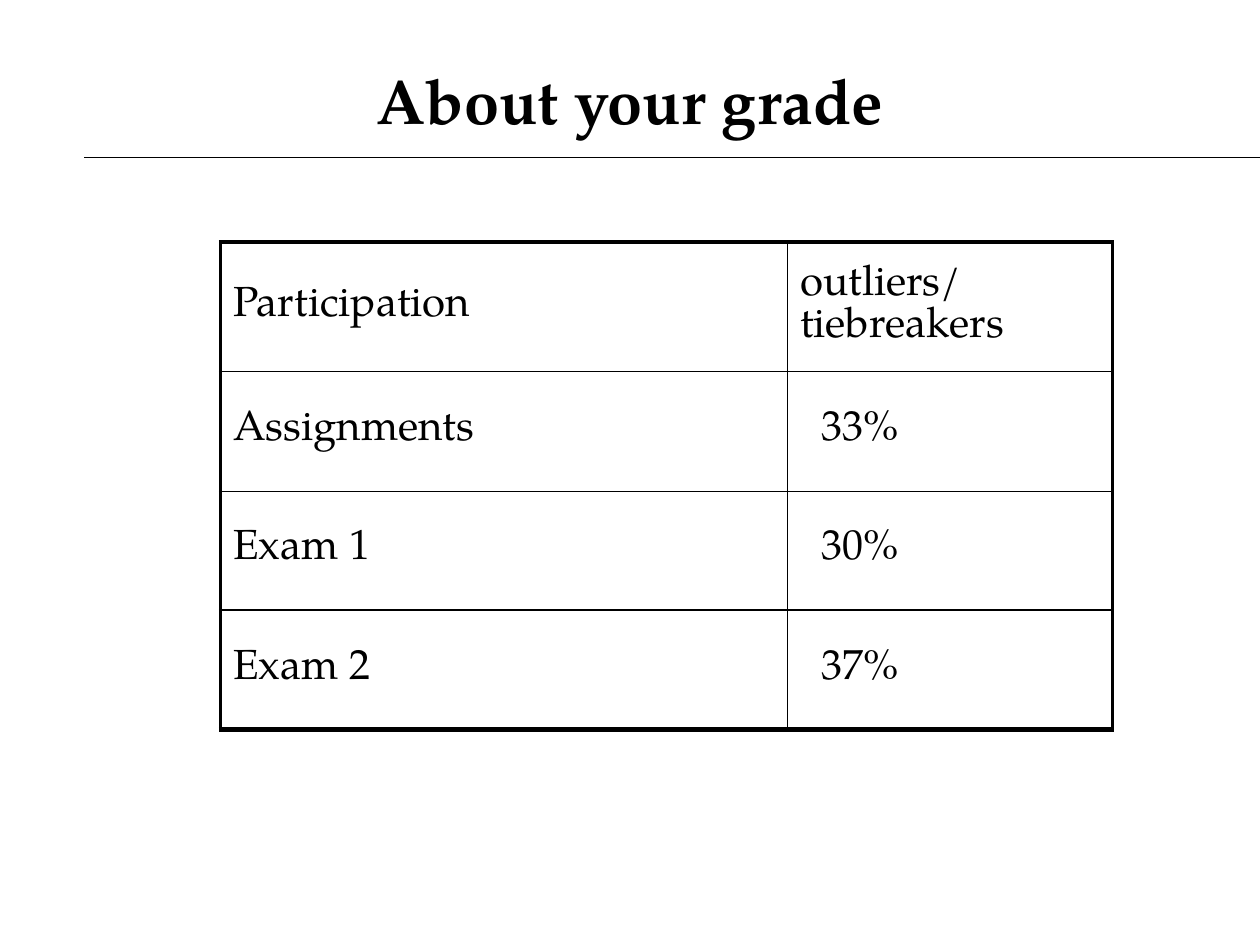
from lxml import etree
from pptx import Presentation
from pptx import util as u
from pptx.dml.color import RGBColor
from pptx.enum import shapes, text
from pptx.oxml.ns import qn

BLACK = RGBColor(0x00, 0x00, 0x00)
WIDTH, HEIGHT = u.Inches(10), u.Inches(7.5)
THIN, THICK, BASE = 1, 2.25, 3
GRADES = [
    ("Participation", "outliers/\ntiebreakers"),
    ("Assignments", "33%"),
    ("Exam 1", "30%"),
    ("Exam 2", "37%"),
]


class GradeSlide:
    """Holds the text style and the slide, and draws by inches on a 10 by 7.5 grid."""

    font = {"name": "TeX Gyre Pagella", "size": u.Pt(24), "bold": False}

    def __init__(self, deck):
        self.slide = deck.slides.add_slide(deck.slide_layouts[6])

    def set_words(self, frame, wording, **changes):
        frame.text = wording
        for paragraph in frame.paragraphs:
            for key, value in {**self.font, **changes}.items():
                setattr(paragraph.font, key, value)
            paragraph.font.color.rgb = BLACK

    def title(self, wording, left, top, width, height):
        heading = self.slide.shapes.add_textbox(*map(u.Inches, (left, top, width, height)))
        frame = heading.text_frame
        frame.word_wrap = True
        frame.vertical_anchor = text.MSO_ANCHOR.MIDDLE
        self.set_words(frame, wording, size=u.Pt(36), bold=True)
        frame.paragraphs[0].alignment = text.PP_ALIGN.CENTER

    def rule(self, left, right, y):
        line = self.slide.shapes.add_connector(
            shapes.MSO_CONNECTOR.STRAIGHT, *map(u.Inches, (left, y, right, y)))
        line.line.color.rgb = BLACK
        line.line.width = u.Pt(0.75)
        etree.SubElement(line._element.spPr, qn("a:effectLst"))

    def border(self, cell, **sides):
        properties = cell._tc.get_or_add_tcPr()
        for side, points in sides.items():
            edge = etree.SubElement(properties, qn(f"a:ln{side}"), w=str(u.Pt(points)))
            fill = etree.SubElement(edge, qn("a:solidFill"))
            etree.SubElement(fill, qn("a:srgbClr"), val=str(BLACK))

    def table(self, rows, left, top, widths, heights):
        grid = self.slide.shapes.add_table(
            len(rows), len(widths),
            *map(u.Inches, (left, top, sum(widths), sum(heights)))).table
        grid.first_row = grid.horz_banding = False
        for column, width in zip(grid.columns, widths):
            column.width = u.Inches(width)
        last_row, last_column = len(rows) - 1, len(widths) - 1
        for r, (entries, height) in enumerate(zip(rows, heights)):
            grid.rows[r].height = u.Inches(height)
            for c, wording in enumerate(entries):
                cell = grid.cell(r, c)
                self.set_words(cell.text_frame, wording)
                cell.vertical_anchor = text.MSO_ANCHOR.MIDDLE
                cell.margin_left = u.Inches(0.27 if wording.endswith("%") else 0.1)
                self.border(
                    cell,
                    L=THIN if c else THICK,
                    R=THICK if c == last_column else THIN,
                    T=THIN if r else THICK,
                    B=BASE if r == last_row else THIN)
                cell.fill.background()


def main():
    deck = Presentation()
    deck.slide_width, deck.slide_height = WIDTH, HEIGHT
    page = GradeSlide(deck)
    page.rule(0.67, 10, 1.25)
    page.title("About your grade", 0.5, 0.33, 9, 0.92)
    page.table(GRADES, 1.75, 1.92, (4.5, 2.58), (1.03, 0.95, 0.94, 0.95))
    deck.save("out.pptx")


if __name__ == "__main__":
    main()
